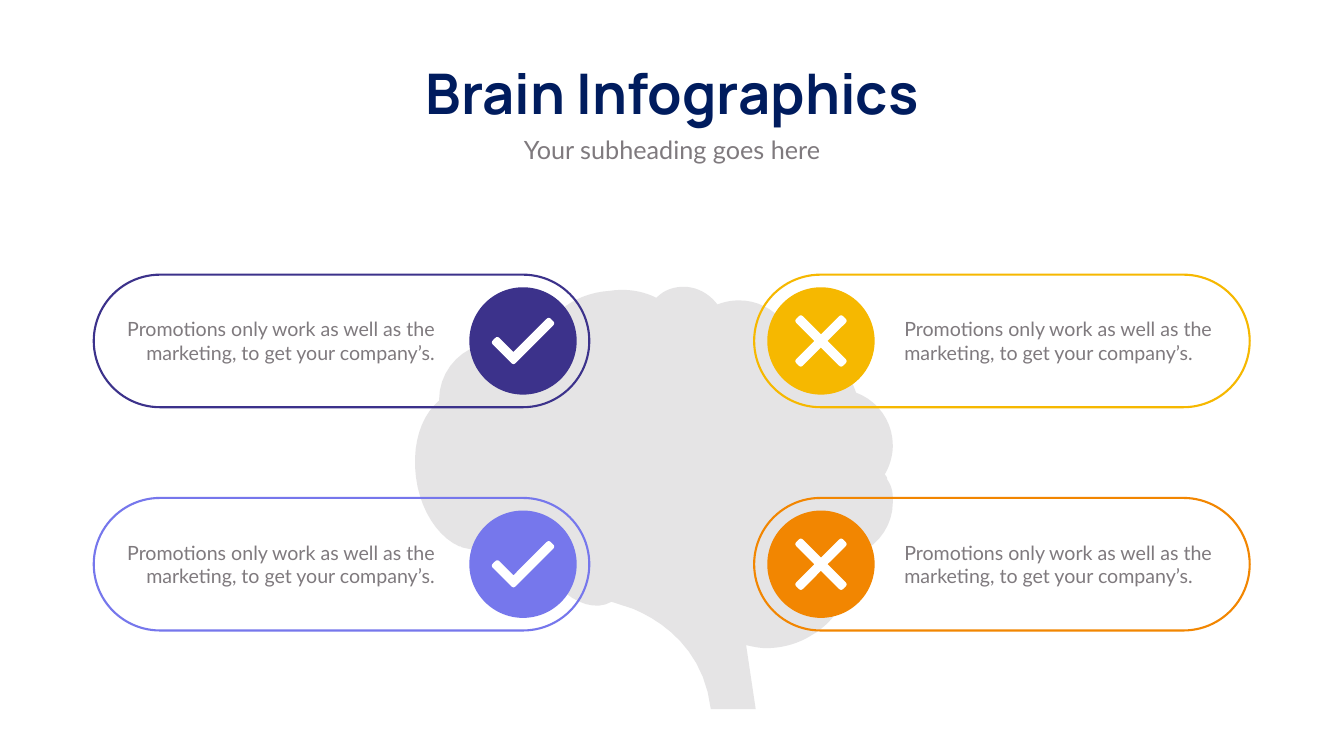
from math import hypot

from pptx import Presentation
from pptx.dml.color import RGBColor
from pptx.enum.shapes import MSO_SHAPE
from pptx.enum.text import MSO_AUTO_SIZE, PP_ALIGN
from pptx.util import Inches, Pt

PILL, CIRCLE = MSO_SHAPE.ROUNDED_RECTANGLE, MSO_SHAPE.OVAL
LEFT, CENTER, RIGHT = PP_ALIGN.LEFT, PP_ALIGN.CENTER, PP_ALIGN.RIGHT
GROW = MSO_AUTO_SIZE.SHAPE_TO_FIT_TEXT

TITLE = "Brain Infographics"
SUBHEADING = "Your subheading goes here"
PROMOTION = "Promotions only work as well as the marketing, to get your company’s."

THEME = {
    "heading_font": "Manrope", "body_font": "Lato",
    "title_size": 80, "subheading_size": 36, "body_size": 28, "outline": 3,
    "title": "001C5E", "body": "7F7A7E", "brain": "E5E4E5", "icon": "FFFFFF",
    "indigo": "3C328B", "lavender": "7677EC", "yellow": "F6B800", "orange": "F28601",
}

CHECK = [(0.51, -0.48), (0.64, -0.35), (-0.19, 0.48), (-0.64, 0.03), (-0.51, -0.1), (-0.19, 0.22)]
CROSS_ARM = [(-0.53, -0.4), (-0.4, -0.53), (0, -0.13)]
CROSS = (CROSS_ARM + [(-y, x) for x, y in CROSS_ARM]
         + [(-x, -y) for x, y in CROSS_ARM] + [(y, -x) for x, y in CROSS_ARM])

SIDES = [
    {"left": 1.86, "circle": 9.31, "text": 2.01, "align": RIGHT, "icon": CHECK,
     "colors": ("indigo", "lavender")},
    {"left": 14.96, "circle": 15.22, "text": 17.84, "align": LEFT, "icon": CROSS,
     "colors": ("yellow", "orange")},
]
ROW_TOPS = (5.45, 9.88)
PILL_WIDTH, PILL_HEIGHT, CIRCLE_SIZE = 9.83, 2.63, 2.13
TEXT_WIDTH, TEXT_HEIGHT = 6.71, 1.04

BRAIN_START = (17.6, 9.52)
BRAIN_SEGMENTS = [
    (17.6, 9.46, 17.57, 9.44, 17.55, 9.41), (17.65, 9.25, 17.71, 9.03, 17.71, 8.84),
    (17.71, 8.36, 17.41, 7.95, 16.98, 7.79), (16.9, 7.55, 16.76, 7.28, 16.52, 7.06),
    (16.28, 6.8, 15.96, 6.63, 15.66, 6.58), (15.47, 6.2, 15.09, 5.96, 14.66, 5.96),
    (14.5, 5.96, 14.37, 5.99, 14.23, 6.04), (14.07, 5.83, 13.83, 5.69, 13.56, 5.69),
    (13.34, 5.69, 13.15, 5.77, 13.02, 5.91), (12.75, 5.77, 12.42, 5.72, 12.1, 5.77),
    (11.62, 5.8, 11.21, 6.01, 10.97, 6.31), (10.89, 6.28, 10.78, 6.26, 10.67, 6.26),
    (10.48, 6.26, 10.3, 6.31, 10.16, 6.42), (10.03, 6.53, 9.95, 6.66, 9.89, 6.8),
    (9.86, 6.8, 9.84, 6.8, 9.84, 6.8), (9.22, 6.8, 8.71, 7.31, 8.71, 7.93), (8.71, 7.95),
    (8.35, 8.25, 8.17, 8.82, 8.25, 9.46), (8.33, 10.11, 8.68, 10.65, 9.11, 10.84),
    (9.14, 10.84, 9.14, 10.84, 9.16, 10.86), (9.3, 10.89, 9.41, 10.92, 9.54, 10.89),
    (9.68, 10.89, 9.78, 10.84, 9.86, 10.78), (10, 10.89, 10.19, 10.94, 10.35, 10.94),
    (10.48, 10.94, 10.59, 10.92, 10.7, 10.86), (10.73, 11.05, 10.78, 11.21, 10.89, 11.4),
    (11.21, 11.89, 11.75, 12.16, 12.13, 11.94), (12.56, 12.08),
    (13.13, 12.32, 13.96, 12.88, 14.1, 14.07), (14.99, 14.07), (14.8, 12.8),
    (14.93, 12.83, 15.07, 12.86, 15.2, 12.86), (15.55, 12.86, 15.88, 12.75, 16.12, 12.59),
    (16.17, 12.56, 16.23, 12.53, 16.28, 12.48), (16.57, 12.26, 16.79, 11.91, 16.82, 11.54),
    (16.82, 11.51, 16.82, 11.46, 16.82, 11.43), (16.82, 11.32, 16.82, 11.21, 16.79, 11.13),
    (16.79, 11.11, 16.76, 11.08, 16.76, 11.08), (17.3, 10.97, 17.71, 10.51, 17.71, 9.97),
    (17.71, 9.95, 17.71, 9.92, 17.71, 9.89), (17.71, 9.76, 17.68, 9.62, 17.6, 9.52),
]


def color(role):
    return RGBColor.from_string(THEME[role])


def trace(start, segments, steps=10):
    outline = [start]
    for segment in segments:
        if len(segment) == 2:
            outline.append(segment)
            continue
        x0, y0 = outline[-1]
        x1, y1, x2, y2, x3, y3 = segment
        for step in range(1, steps + 1):
            t = step / steps
            a, b, c, d = (1 - t) ** 3, 3 * t * (1 - t) ** 2, 3 * t * t * (1 - t), t ** 3
            outline.append((a * x0 + b * x1 + c * x2 + d * x3,
                            a * y0 + b * y1 + c * y2 + d * y3))
    return outline


def soften(corners, cut=0.06, steps=4):
    outline = []
    for i, (x, y) in enumerate(corners):
        (px, py), (nx, ny) = corners[i - 1], corners[(i + 1) % len(corners)]
        if (x - px) * (ny - y) - (y - py) * (nx - x) <= 0:
            outline.append((x, y))
            continue
        before, after = cut / hypot(px - x, py - y), cut / hypot(nx - x, ny - y)
        for step in range(steps + 1):
            t = step / steps
            a, b = before * (1 - t) ** 2, after * t ** 2
            outline.append((x + a * (px - x) + b * (nx - x), y + a * (py - y) + b * (ny - y)))
    return outline


def paint(shape, fill=None, line=None):
    shape.shadow.inherit = False
    if fill:
        shape.fill.solid()
        shape.fill.fore_color.rgb = color(fill)
    else:
        shape.fill.background()
    if line:
        shape.line.color.rgb = color(line)
        shape.line.width = Pt(THEME["outline"])
    else:
        shape.line.fill.background()


def add_outline(slide, points, fill):
    vertices = [(Inches(x), Inches(y)) for x, y in points]
    builder = slide.shapes.build_freeform(*vertices[0])
    builder.add_line_segments(vertices[1:], close=True)
    paint(builder.convert_to_shape(), fill)


def add_text(slide, box, text, role, size, font, align, bold=False, wrap=True):
    frame = slide.shapes.add_textbox(*map(Inches, box)).text_frame
    frame.word_wrap = wrap
    frame.auto_size = GROW
    frame.text = text
    paragraph = frame.paragraphs[0]
    paragraph.alignment = align
    run_font = paragraph.runs[0].font
    run_font.name, run_font.size, run_font.bold = THEME[font], Pt(THEME[size]), bold
    run_font.color.rgb = color(role)


def add_promotion(slide, side, top, accent):
    pill = slide.shapes.add_shape(
        PILL, *map(Inches, (side["left"], top, PILL_WIDTH, PILL_HEIGHT)))
    pill.adjustments[0] = 0.5
    paint(pill, line=accent)
    circle_top = top + (PILL_HEIGHT - CIRCLE_SIZE) / 2
    circle = slide.shapes.add_shape(
        CIRCLE, *map(Inches, (side["circle"], circle_top, CIRCLE_SIZE, CIRCLE_SIZE)))
    paint(circle, accent)
    center_x, center_y = side["circle"] + CIRCLE_SIZE / 2, top + PILL_HEIGHT / 2
    add_outline(slide, [(center_x + x, center_y + y) for x, y in soften(side["icon"])], "icon")
    text_top = top + (PILL_HEIGHT - TEXT_HEIGHT) / 2
    add_text(slide, (side["text"], text_top, TEXT_WIDTH, TEXT_HEIGHT), PROMOTION,
             "body", "body_size", "body_font", side["align"])


def main():
    """Build the brain infographic slide."""
    deck = Presentation()
    deck.slide_width, deck.slide_height = Inches(26.66), Inches(15)
    slide = deck.slides.add_slide(deck.slide_layouts[6])
    add_outline(slide, trace(BRAIN_START, BRAIN_SEGMENTS), "brain")
    for side in SIDES:
        for top, accent in zip(ROW_TOPS, side["colors"]):
            add_promotion(slide, side, top, accent)
    add_text(slide, (7.9, 1.12, 10.87, 1.45), TITLE, "title", "title_size",
             "heading_font", CENTER, bold=True, wrap=False)
    add_text(slide, (2.92, 2.61, 20.82, 0.71), SUBHEADING, "body", "subheading_size",
             "body_font", CENTER)
    deck.save("out.pptx")


if __name__ == "__main__":
    main()
